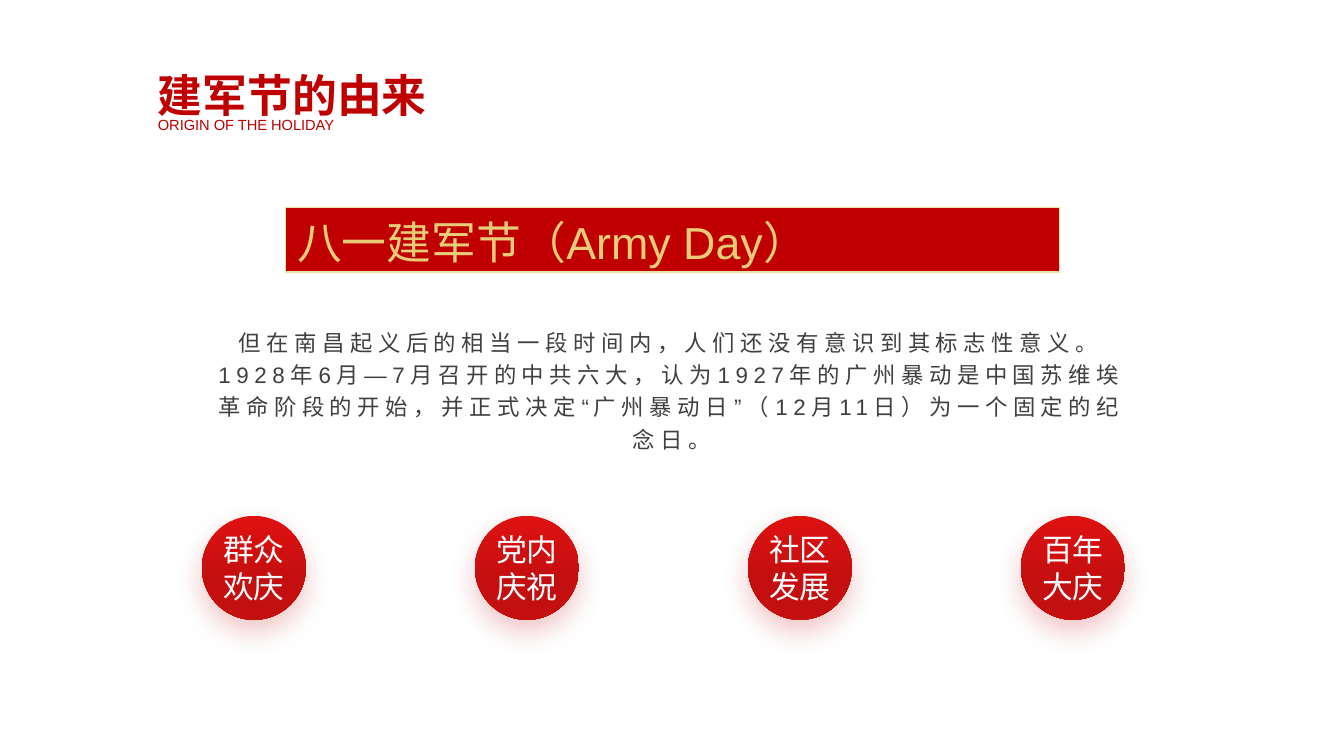
"""Build the slide on the origin of Army Day."""
from dataclasses import dataclass

from lxml import etree
from pptx import Presentation
from pptx.dml.color import RGBColor
from pptx.enum.lang import MSO_LANGUAGE_ID
from pptx.enum.shapes import MSO_SHAPE
from pptx.enum.text import MSO_AUTO_SIZE, PP_ALIGN
from pptx.oxml.ns import qn
from pptx.shapes.autoshape import Shape
from pptx.slide import Slide
from pptx.util import Cm, Pt

RECT, OVAL = MSO_SHAPE.RECTANGLE, MSO_SHAPE.OVAL
CENTER, JUSTIFY = PP_ALIGN.CENTER, PP_ALIGN.JUSTIFY
GROW = MSO_AUTO_SIZE.SHAPE_TO_FIT_TEXT
CHINESE = MSO_LANGUAGE_ID.SIMPLIFIED_CHINESE


@dataclass(frozen=True)
class Theme:
    font: str = "Arial"
    red: str = "C00000"
    gold: str = "E8CD76"
    pale_gold: str = "ECE0A2"
    grey: str = "404040"
    white: str = "FFFFFF"
    badge_top: str = "DF1111"
    badge_base: str = "C30F0F"
    heading: float = 32
    body: float = 16
    badge: float = 22
    small: float = 10.5


@dataclass(frozen=True)
class Box:
    left: float
    top: float
    width: float
    height: float

    def lengths(self) -> tuple[Cm, Cm, Cm, Cm]:
        return Cm(self.left), Cm(self.top), Cm(self.width), Cm(self.height)


@dataclass(frozen=True)
class TextBlock:
    box: Box
    lines: tuple[str, ...]
    size: float
    color: str
    align: PP_ALIGN = JUSTIFY
    bold: bool = False
    line_spacing: float = 1.0
    tracking: float = 0


THEME = Theme()
BANNER = Box(7.19, 5.23, 19.51, 1.63)
TEXTS = (
    TextBlock(Box(3.73, 1.57, 9.5, 1.63), ("建军节的由来",),
              THEME.heading, THEME.red, bold=True),
    TextBlock(Box(3.73, 2.79, 10.01, 0.71), ("ORIGIN OF THE HOLIDAY",),
              THEME.small, THEME.red),
    TextBlock(Box(7.24, 5.28, 19.51, 1.63), ("八一建军节（Army Day）",),
              THEME.heading, THEME.gold),
    TextBlock(Box(4.98, 8.03, 23.9, 3.53),
              ("但在南昌起义后的相当一段时间内，人们还没有意识到其标志性意义。"
               "1928年6月—7月召开的中共六大，认为1927年的广州暴动是中国苏维埃革命阶段的开始，"
               "并正式决定“广州暴动日”（12月11日）为一个固定的纪念日。",),
              THEME.body, THEME.grey, CENTER, line_spacing=1.2, tracking=4),
)
BADGES = (("群众", "欢庆"), ("党内", "庆祝"), ("社区", "发展"), ("百年", "大庆"))
BADGE_LEFT, BADGE_TOP, BADGE_SIZE, BADGE_STEP = 5.09, 13.0, 2.62, 6.88
LABEL_WIDTH, LABEL_HEIGHT = 3.86, 2.13


def rgb(color: str) -> RGBColor:
    return RGBColor.from_string(color)


def add_text(s: Slide, block: TextBlock) -> None:
    tf = s.shapes.add_textbox(*block.box.lengths()).text_frame
    tf.word_wrap = True
    tf.auto_size = GROW
    for i, line in enumerate(block.lines):
        p = tf.add_paragraph() if i else tf.paragraphs[0]
        p.alignment = block.align
        p.line_spacing = block.line_spacing
        r = p.add_run()
        r.text = line
        r.font.size = Pt(block.size)
        r.font.bold = block.bold
        r.font.color.rgb = rgb(block.color)
        r.font.name = THEME.font
        r.font.language_id = CHINESE
        props = r._r.get_or_add_rPr()
        etree.SubElement(props, qn("a:ea"), typeface=THEME.font)
        if block.tracking:
            props.set("spc", str(int(block.tracking * 100)))


def add_banner(s: Slide) -> None:
    sp = s.shapes.add_shape(RECT, *BANNER.lengths())
    sp.shadow.inherit = False
    sp.fill.solid()
    sp.fill.fore_color.rgb = rgb(THEME.red)
    sp.line.color.rgb = rgb(THEME.pale_gold)
    sp.line.width = Pt(1)


def add_glow(sp: Shape) -> None:
    sp.shadow.inherit = False
    effects = sp._element.spPr.find(qn("a:effectLst"))
    shadow = etree.SubElement(effects, qn("a:outerShdw"), blurRad=str(Pt(20)),
                              dist=str(Pt(8)), dir="5400000", algn="t", rotWithShape="0")
    color = etree.SubElement(shadow, qn("a:srgbClr"), val=THEME.badge_base)
    etree.SubElement(color, qn("a:alpha"), val="23000")


def add_badge(s: Slide, index: int, lines: tuple[str, ...]) -> None:
    circle = Box(BADGE_LEFT + index * BADGE_STEP, BADGE_TOP, BADGE_SIZE, BADGE_SIZE)
    sp = s.shapes.add_shape(OVAL, *circle.lengths())
    sp.line.fill.background()
    sp.fill.gradient()
    sp.fill.gradient_angle = 270
    stops = zip(sp.fill.gradient_stops, ((0, THEME.badge_top), (0.64, THEME.badge_base)))
    for stop, (position, color) in stops:
        stop.position = position
        stop.color.rgb = rgb(color)
    add_glow(sp)
    label = Box(circle.left + (BADGE_SIZE - LABEL_WIDTH) / 2,
                circle.top + (BADGE_SIZE - LABEL_HEIGHT) / 2, LABEL_WIDTH, LABEL_HEIGHT)
    add_text(s, TextBlock(label, lines, THEME.badge, THEME.white, CENTER))


def main() -> None:
    prs = Presentation()
    prs.slide_width, prs.slide_height = Cm(33.87), Cm(19.05)
    s = prs.slides.add_slide(prs.slide_layouts[6])
    add_banner(s)
    for block in TEXTS:
        add_text(s, block)
    for index, lines in enumerate(BADGES):
        add_badge(s, index, lines)
    prs.save("out.pptx")


if __name__ == "__main__":
    main()
